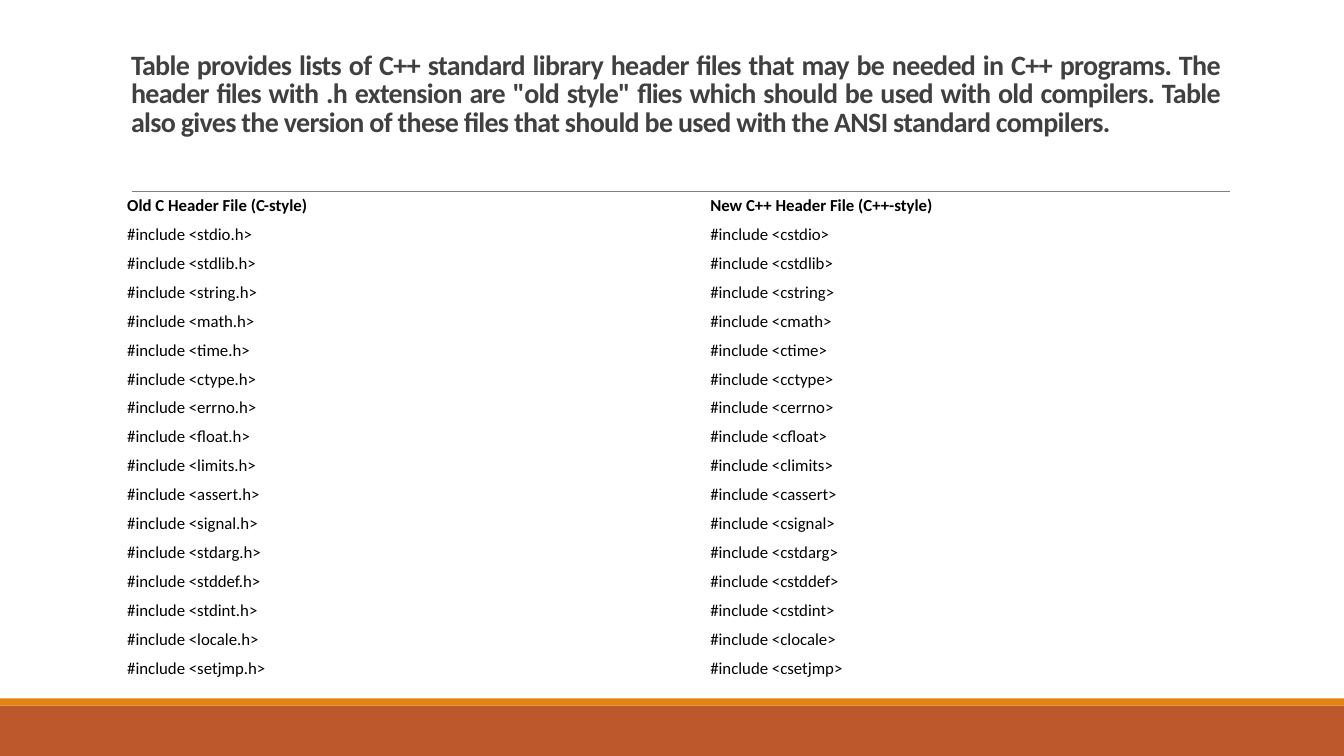
from lxml.etree import SubElement
from pptx import Presentation
from pptx.dml.color import RGBColor
from pptx.enum.shapes import MSO_CONNECTOR, MSO_SHAPE
from pptx.enum.text import MSO_ANCHOR, MSO_AUTO_SIZE, PP_ALIGN
from pptx.oxml.ns import qn
from pptx.util import Pt

RUST = RGBColor(0xBD, 0x58, 0x2C)
ORANGE = RGBColor(0xE4, 0x83, 0x12)
GREY = RGBColor(0x80, 0x80, 0x80)
CHARCOAL = RGBColor(0x40, 0x40, 0x40)
BLACK = RGBColor(0, 0, 0)

FONT = "Calibri"
PLAIN_TABLE = "{2D5ABB26-0587-4C30-8999-92F81FD0307C}"
SLIDE_WIDTH, SLIDE_HEIGHT = 960, 540
ROW_HEIGHT, COLUMN_WIDTH = 20.67, 416.5

INTRO = (
    "Table provides lists of C++ standard library header files that may be "
    "needed in C++ programs. The header files with .h extension are "
    '"old style" flies which should be used with old compilers. Table also '
    "gives the version of these files that should be used with the ANSI "
    "standard compilers."
)
HEADINGS = ("Old C Header File (C-style)", "New C++ Header File (C++-style)")
LIBRARIES = (
    "stdio", "stdlib", "string", "math", "time", "ctype", "errno", "float",
    "limits", "assert", "signal", "stdarg", "stddef", "stdint", "locale",
    "setjmp",
)


def apply(target, formats):
    """Set each named attribute on the target."""
    for name, value in formats.items():
        setattr(target, name, value)


def write(paragraph, words, size, color, bold):
    """Put one formatted run in a paragraph and return it."""
    run = paragraph.add_run()
    run.text = words
    apply(run.font, {"name": FONT, "size": Pt(size), "bold": bold})
    run.font.color.rgb = color
    return run


def add_band(slide, top, height, color):
    """Draw a full-width footer band."""
    band = slide.shapes.add_shape(
        MSO_SHAPE.RECTANGLE, 0, Pt(top), Pt(SLIDE_WIDTH), Pt(height))
    band.shadow.inherit = False
    band.fill.solid()
    band.fill.fore_color.rgb = color
    band.line.fill.background()


def add_rule(slide, left, right, top):
    """Draw the thin rule below the title."""
    rule = slide.shapes.add_connector(
        MSO_CONNECTOR.STRAIGHT, Pt(left), Pt(top), Pt(right), Pt(top))
    rule.line.color.rgb = GREY
    rule.line.width = Pt(0.5)
    SubElement(rule._element.spPr, qn("a:effectLst"))


def format_title(slide):
    """Place and fill the title placeholder."""
    title = slide.shapes.title
    apply(title, {"left": Pt(86.4), "top": Pt(19.4),
                  "width": Pt(792), "height": Pt(82.8)})
    frame = title.text_frame
    apply(frame, {"word_wrap": True, "auto_size": MSO_AUTO_SIZE.NONE,
                  "vertical_anchor": MSO_ANCHOR.BOTTOM})
    paragraph = frame.paragraphs[0]
    apply(paragraph, {"alignment": PP_ALIGN.JUSTIFY, "line_spacing": 0.85,
                      "space_before": Pt(0)})
    intro = write(paragraph, INTRO, 20, CHARCOAL, True)
    intro._r.get_or_add_rPr().set("spc", "-50")


def add_header_table(slide, left, top):
    """List the old and new include lines side by side."""
    rows = [HEADINGS] + [
        (f"#include <{library}.h>", f"#include <c{library}>")
        for library in LIBRARIES
    ]
    table = slide.shapes.add_table(
        len(rows), len(HEADINGS), Pt(left), Pt(top),
        Pt(COLUMN_WIDTH * len(HEADINGS)), Pt(ROW_HEIGHT * len(rows))).table
    apply(table, {"first_row": False, "horz_banding": False})
    table._tbl.tblPr.find(qn("a:tableStyleId")).text = PLAIN_TABLE
    for column in table.columns:
        column.width = Pt(COLUMN_WIDTH)
    for row_number, entries in enumerate(rows):
        table.rows[row_number].height = Pt(ROW_HEIGHT)
        for column_number, entry in enumerate(entries):
            cell = table.cell(row_number, column_number)
            cell.fill.background()
            apply(cell, {"margin_left": Pt(4.5), "margin_right": Pt(4.5),
                         "margin_top": Pt(2.25), "margin_bottom": Pt(2.25),
                         "vertical_anchor": MSO_ANCHOR.MIDDLE})
            write(cell.text_frame.paragraphs[0], entry, 12, BLACK,
                  row_number == 0)


def main():
    """Build and save the slide."""
    deck = Presentation()
    apply(deck, {"slide_width": Pt(SLIDE_WIDTH),
                 "slide_height": Pt(SLIDE_HEIGHT)})
    slide = deck.slides.add_slide(deck.slide_layouts[5])
    add_band(slide, 504, 36, RUST)
    add_band(slide, 498.8, 5.2, ORANGE)
    add_rule(slide, 94.2, 878.8, 136.6)
    format_title(slide)
    add_header_table(slide, 86.4, 136.6)
    deck.save("out.pptx")


if __name__ == "__main__":
    main()
